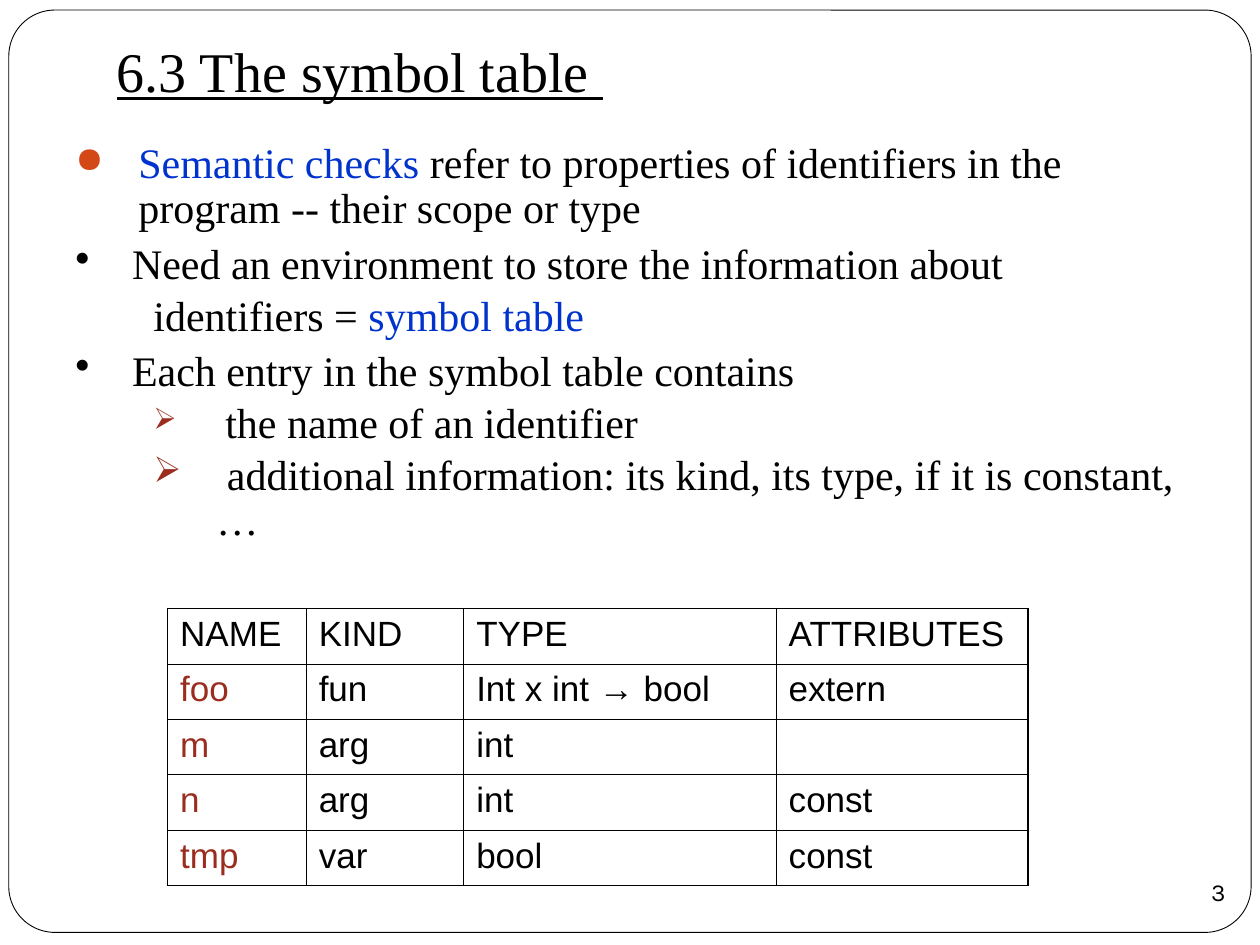
from lxml import etree
from pptx import Presentation
from pptx.dml.color import RGBColor
from pptx.enum import shapes, text
from pptx.oxml import ns
from pptx.util import Inches, Pt

BLACK = RGBColor(0x00, 0x00, 0x00)
WHITE = RGBColor(0xFF, 0xFF, 0xFF)
BLUE = RGBColor(0x00, 0x33, 0xCD)
ORANGE = RGBColor(0xD3, 0x48, 0x17)
RED = RGBColor(0x9B, 0x2D, 0x1F)
SERIF, SANS, NUMBER_FONT = "Times New Roman", "Arial", "Karla"

# Level: left margin, first-line indent, space before
TOP, TOP_PLAIN = (0.5, -0.5, 5.8), (0.45, -0.45, 5.8)
SUB = (1.12, -0.5, 3.7)

# Level, bullet (character, colour, size in percent), runs (words, colour, size)
POINTS = [
    (TOP, ("●", ORANGE, 85), [
        ("Semantic checks ", BLUE, 24),
        ("refer to properties of identifiers in the program"
         " -- their scope or type", BLACK, 24)]),
    (TOP_PLAIN, ("•", BLACK, 100), [
        ("Need an environment to store the information about", BLACK, 24)]),
    (SUB, None, [("identifiers = ", BLACK, 24), ("symbol table", BLUE, 24)]),
    (TOP_PLAIN, ("•", BLACK, 100), [
        ("Each entry in the symbol table contains", BLACK, 24)]),
    (SUB, ("➢", RED, 85), [
        (" ", BLACK, 20), ("the name of an identifier", BLACK, 24)]),
    (SUB, ("➢", RED, 85), [
        (" additional information: its kind, its type, if it is constant, …",
         BLACK, 24)]),
]

COLUMNS = [1.1, 1.25, 2.48, 2]
ROW_HEIGHT = 0.44
SYMBOLS = [
    ["NAME", "KIND", "TYPE", "ATTRIBUTES"],
    ["foo", "fun", "Int x int → bool", "extern"],
    ["m", "arg", "int", ""],
    ["n", "arg", "int", "const"],
    ["tmp", "var", "bool", "const"],
]


def inches(box):
    return [Inches(length) for length in box]


def add_run(para, words, size, color, font=SERIF):
    span = para.add_run()
    span.text = words
    span.font.size = Pt(size)
    span.font.name = font
    span.font.color.rgb = color
    return span


def add_element(parent, tag, **attributes):
    return etree.SubElement(parent, ns.qn(tag), attributes)


def add_solid_fill(parent, color):
    add_element(add_element(parent, "a:solidFill"), "a:srgbClr", val=str(color))


def set_bullet(para, bullet):
    properties = para._p.get_or_add_pPr()
    if bullet is None:
        add_element(properties, "a:buNone")
        return
    character, color, percent = bullet
    add_element(add_element(properties, "a:buClr"), "a:srgbClr", val=str(color))
    add_element(properties, "a:buSzPct", val=str(percent * 1000))
    add_element(properties, "a:buChar", char=character)


def set_borders(cell, widths):
    properties = cell._tc.get_or_add_tcPr()
    for side, width in zip(("L", "R", "T", "B"), widths):
        line = add_element(properties, "a:ln" + side, w=str(Pt(width)))
        add_solid_fill(line, BLACK)


def add_frame(slide, box):
    frame = slide.shapes.add_shape(
        shapes.MSO_SHAPE.ROUNDED_RECTANGLE, *inches(box))
    frame.adjustments[0] = 0.05
    frame.shadow.inherit = False
    frame.fill.solid()
    frame.fill.fore_color.rgb = WHITE
    frame.line.color.rgb = BLACK
    frame.line.width = Pt(0.5)


def add_title(slide, box):
    frame = slide.shapes.add_textbox(*inches(box)).text_frame
    frame.word_wrap = True
    frame.vertical_anchor = text.MSO_ANCHOR.BOTTOM
    frame.margin_bottom = Inches(0.1)
    span = add_run(frame.paragraphs[0], "6.3 The symbol table ", 32, BLACK)
    span.font.underline = True


def add_points(slide, box):
    frame = slide.shapes.add_textbox(*inches(box)).text_frame
    frame.word_wrap = True
    for index, (level, bullet, runs) in enumerate(POINTS):
        para = frame.add_paragraph() if index else frame.paragraphs[0]
        margin, indent, before = level
        para.level = 1 if level is SUB else 0
        para.line_spacing = 0.9
        para.space_before = Pt(before)
        properties = para._p.get_or_add_pPr()
        properties.set("marL", str(Inches(margin)))
        properties.set("indent", str(Inches(indent)))
        set_bullet(para, bullet)
        for words, color, size in runs:
            add_run(para, words, size, color)


def add_symbol_table(slide, left, top):
    last_row, last_column = len(SYMBOLS) - 1, len(COLUMNS) - 1
    box = (left, top, sum(COLUMNS), ROW_HEIGHT * len(SYMBOLS))
    table = slide.shapes.add_table(
        len(SYMBOLS), len(COLUMNS), *inches(box)).table
    table.first_row = table.horz_banding = False
    for column, width in zip(table.columns, COLUMNS):
        column.width = Inches(width)
    for r, entry in enumerate(SYMBOLS):
        table.rows[r].height = Inches(ROW_HEIGHT)
        for c, words in enumerate(entry):
            cell = table.cell(r, c)
            # Outer edges are heavier than the inner grid
            outer = (c == 0, c == last_column, r == 0, r == last_row)
            set_borders(cell, [1.08 if edge else 0.45 for edge in outer])
            cell.fill.background()
            para = cell.text_frame.paragraphs[0]
            para.space_before = Pt(5)
            para.font.size = Pt(20)
            if words:
                color = RED if r and c == 0 else BLACK
                add_run(para, words, 20, color, SANS)


def add_page_number(slide, box):
    badge = slide.shapes.add_shape(shapes.MSO_SHAPE.OVAL, *inches(box))
    badge.shadow.inherit = False
    badge.fill.background()
    badge.line.fill.background()
    frame = badge.text_frame
    frame.word_wrap = False
    frame.vertical_anchor = text.MSO_ANCHOR.MIDDLE
    frame.margin_left = frame.margin_right = 0
    frame.margin_top = frame.margin_bottom = 0
    para = frame.paragraphs[0]
    para.alignment = text.PP_ALIGN.CENTER
    add_run(para, "3", 14, BLACK, NUMBER_FONT)


def main():
    deck = Presentation()
    deck.slide_width, deck.slide_height = Inches(10), Inches(7.5)
    slide = deck.slides.add_slide(deck.slide_layouts[6])
    add_frame(slide, (0.07, 0.08, 9.86, 7.32))
    add_title(slide, (0.83, 0.17, 6.67, 0.75))
    add_points(slide, (0.5, 1.08, 9.17, 3.42))
    add_symbol_table(slide, 1.33, 4.83)
    add_page_number(slide, (9.42, 6.83, 0.5, 0.5))
    deck.save("out.pptx")


if __name__ == "__main__":
    main()
